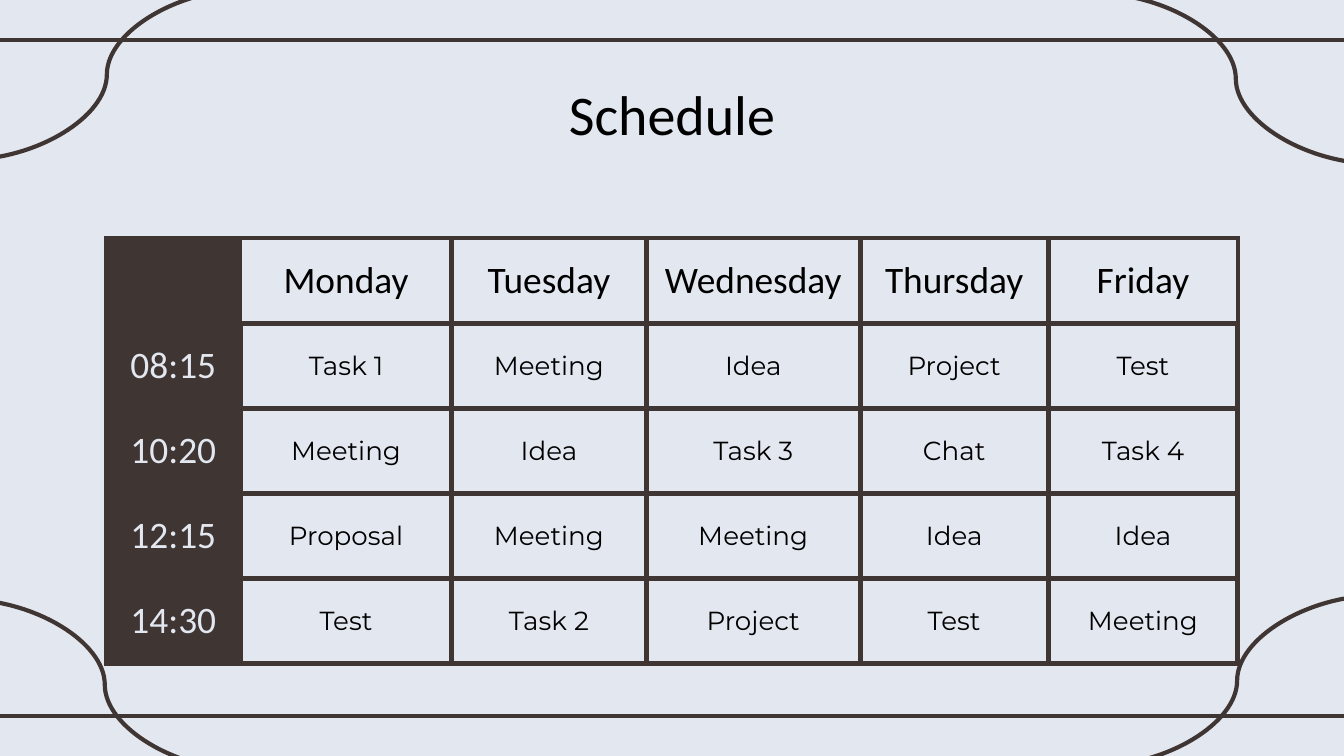
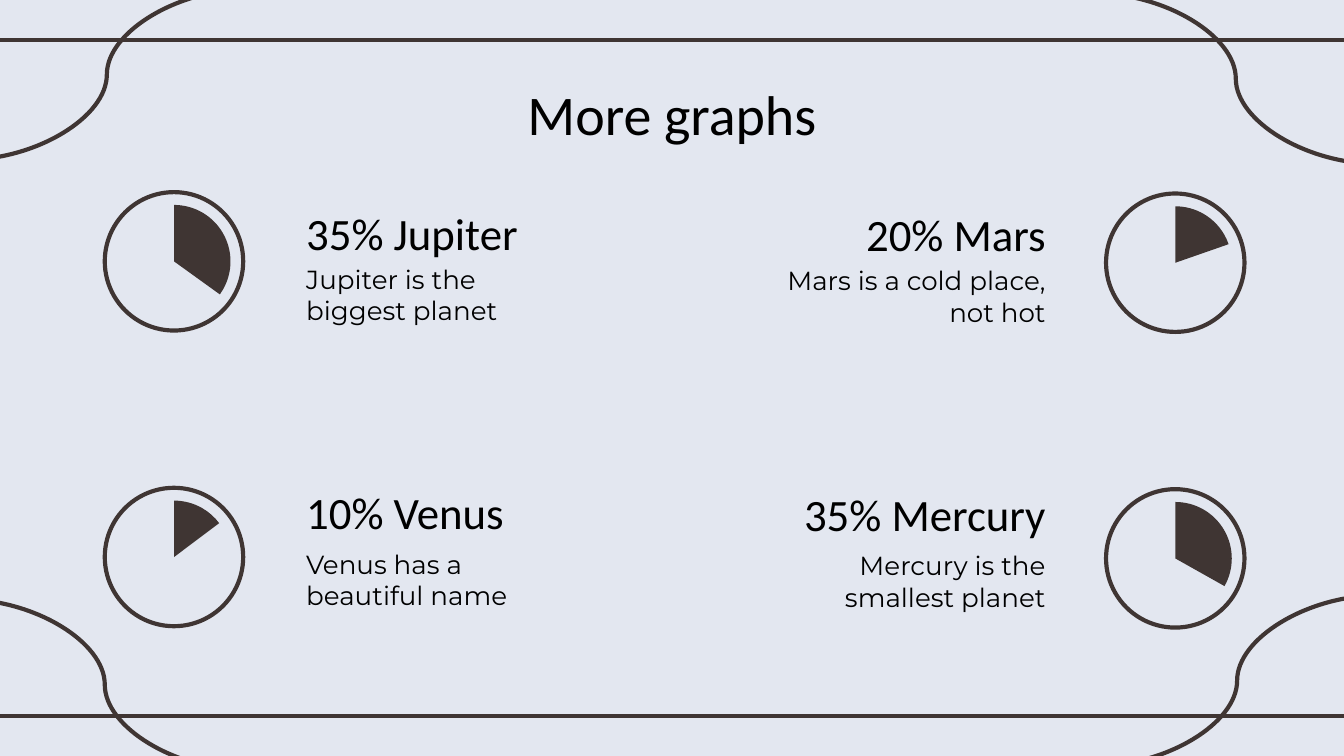
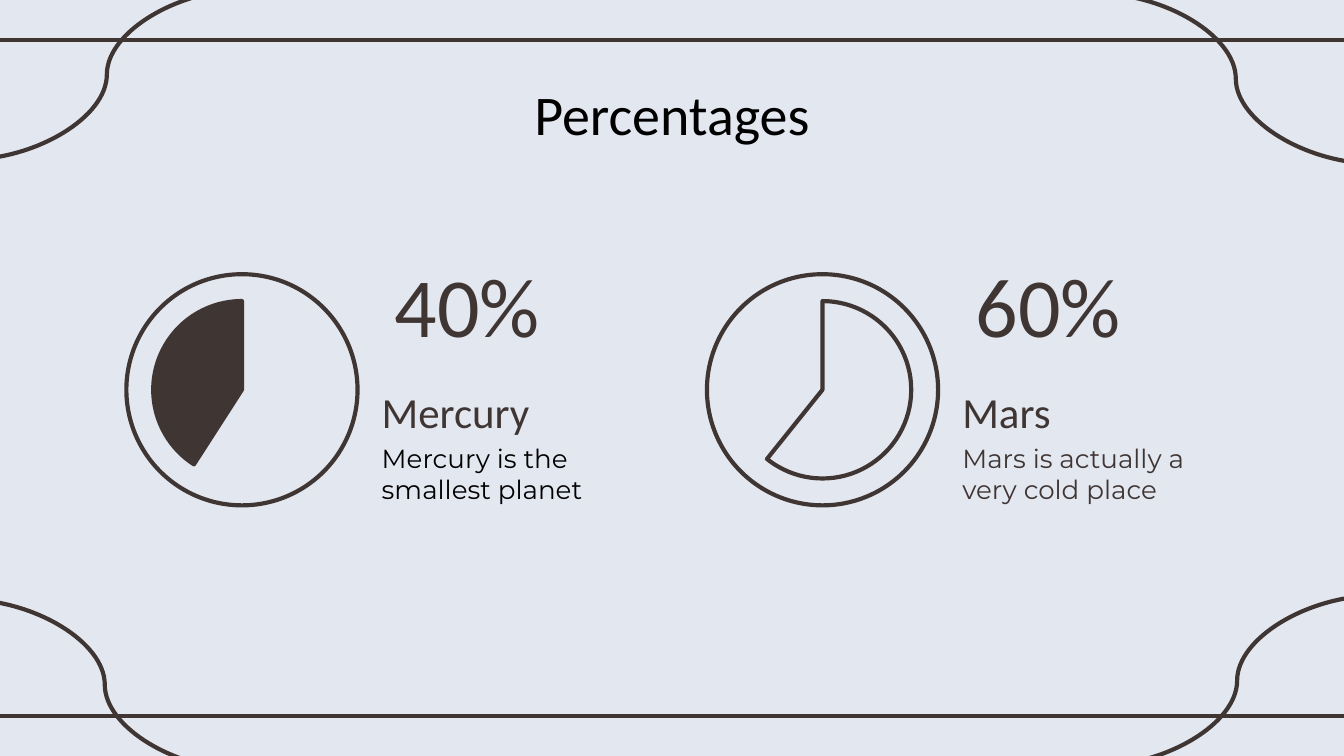
"""Build three planner slides: a schedule table and two sets of dials."""
from dataclasses import dataclass
from typing import Any

import lxml.etree
import pptx
import pptx.dml.color
import pptx.enum.shapes
import pptx.enum.text
import pptx.oxml.ns
import pptx.util

Inches = pptx.util.Inches
Pt = pptx.util.Pt
Align = pptx.enum.text.PP_ALIGN
Anchor = pptx.enum.text.MSO_ANCHOR
Shape = pptx.enum.shapes.MSO_SHAPE
Link = pptx.enum.shapes.MSO_CONNECTOR
qn = pptx.oxml.ns.qn


@dataclass(frozen=True)
class Theme:
    paper: str = "E3E7F0"
    dark: str = "3F3533"
    black: str = "000000"
    head: str = "Calibri"
    body: str = "Montserrat"
    title: float = 30
    huge: float = 45
    large: float = 24
    name: float = 23
    day: float = 20
    small: float = 14
    thin: float = 2.25
    thick: float = 3


@dataclass(frozen=True)
class Box:
    left: float
    top: float
    width: float
    height: float

    def place(self) -> tuple[int, int, int, int]:
        return (Inches(self.left), Inches(self.top),
                Inches(self.width), Inches(self.height))


@dataclass(frozen=True)
class Curve:
    kind: Any
    start: tuple[float, float]
    end: tuple[float, float]


@dataclass(frozen=True)
class Dial:
    left: float
    top: float
    size: float
    inner: float
    start: float
    end: float
    turn: float = 0
    solid: bool = True
    edge: bool = False


@dataclass(frozen=True)
class Planet:
    head: str
    note: str
    right: bool
    low: bool
    sweep: float


@dataclass(frozen=True)
class Share:
    value: str
    name: str
    note: str
    left: float
    start: float
    end: float
    solid: bool
    tint: str


LOOK = Theme()
FRAME = (
    Curve(Link.STRAIGHT, (-0.08, 0.3), (10.08, 0.3)),
    Curve(Link.STRAIGHT, (-0.08, 5.33), (10.08, 5.33)),
    Curve(Link.CURVE, (-0.27, 4.46), (1.83, 5.73)),
    Curve(Link.CURVE, (8.14, -0.05), (10.25, 1.22)),
    Curve(Link.CURVE, (10.26, 4.43), (8.15, 5.7)),
    Curve(Link.CURVE, (1.85, -0.08), (-0.26, 1.19)),
)
TALL = 3.17
WIDTHS = (1, 1.57, 1.45, 1.59, 1.4, 1.41)
ROWS = (
    ("", "Monday", "Tuesday", "Wednesday", "Thursday", "Friday"),
    ("08:15", "Task 1", "Meeting", "Idea", "Project", "Test"),
    ("10:20", "Meeting", "Idea", "Task 3", "Chat", "Task 4"),
    ("12:15", "Proposal", "Meeting", "Meeting", "Idea", "Idea"),
    ("14:30", "Test", "Task 2", "Project", "Test", "Meeting"),
)
PLANETS = (
    Planet("35% Jupiter", "Jupiter is the biggest planet", False, False, 125.77),
    Planet("10% Venus", "Venus has a beautiful name", False, True, 53.07),
    Planet("20% Mars", "Mars is a cold place, not hot", True, False, 70.77),
    Planet("35% Mercury", "Mercury is the smallest planet", True, True, 119.33),
)
SHARES = (
    Share("60%", "Mars", "Mars is actually a very cold place",
          5.26, 270, 128.73, False, LOOK.dark),
    Share("40%", "Mercury", "Mercury is the smallest planet",
          0.94, 122.75, 270, True, LOOK.black),
)


def shade(code: str) -> pptx.dml.color.RGBColor:
    return pptx.dml.color.RGBColor.from_string(code)


def write(frame: Any, text: str, *, size: float, font: str = LOOK.head,
          tint: str = LOOK.black, align: Any = Align.LEFT,
          anchor: Any = Anchor.TOP, pad: float = 0.1) -> None:
    frame.auto_size = pptx.enum.text.MSO_AUTO_SIZE.NONE
    frame.word_wrap = True
    frame.vertical_anchor = anchor
    frame.margin_left = frame.margin_top = Inches(pad)
    frame.margin_right = frame.margin_bottom = Inches(0.1)
    line = frame.paragraphs[0]
    line.alignment = align
    run = line.add_run()
    run.text = text
    run.font.size = Pt(size)
    run.font.name = font
    run.font.color.rgb = shade(tint)


def label(slide: Any, box: Box, text: str, **style: Any) -> None:
    write(slide.shapes.add_textbox(*box.place()).text_frame, text, **style)


def stroke(line: Any) -> None:
    line.color.rgb = shade(LOOK.dark)
    line.width = Pt(LOOK.thin)


def draw_frame(slide: Any, layout: Any) -> None:
    for curve in FRAME:
        ends = (Inches(v) for v in curve.start + curve.end)
        link = slide.shapes.add_connector(curve.kind, *ends)
        stroke(link.line)
        lxml.etree.SubElement(link.element.spPr, qn("a:effectLst"))
        layout.shapes.element.append(link.element)


def add_slide(deck: Any, layout: Any, title: str) -> Any:
    slide = deck.slides.add_slide(layout)
    head = slide.shapes.title
    head.left, head.top, head.width, head.height = Box(0.78, 0.49, 8.44, 0.63).place()
    write(head.text_frame, title, size=LOOK.title, align=Align.CENTER)
    return slide


def draw_dial(slide: Any, dial: Dial) -> None:
    group = slide.shapes.add_group_shape()
    gap = (dial.size - dial.inner) / 2
    ring = group.shapes.add_shape(
        Shape.OVAL, *Box(dial.left, dial.top, dial.size, dial.size).place())
    ring.shadow.inherit = False
    ring.fill.background()
    stroke(ring.line)
    wedge = group.shapes.add_shape(
        Shape.PIE, *Box(dial.left + gap, dial.top + gap, dial.inner, dial.inner).place())
    wedge.shadow.inherit = False
    wedge.rotation = dial.turn
    for i, angle in enumerate((dial.start, dial.end)):
        wedge.adjustments[i] = angle * 0.6
    if dial.solid:
        wedge.fill.solid()
        wedge.fill.fore_color.rgb = shade(LOOK.dark)
    else:
        wedge.fill.background()
    if dial.edge:
        stroke(wedge.line)
    else:
        wedge.line.fill.background()


def is_thin(row: int, col: int, side: str) -> bool:
    if col == 0 and side != "R":
        return True
    return row == 0 and (side == "T" or (col, side) in ((0, "R"), (1, "L"), (5, "R")))


def edge_cell(cell: Any, row: int, col: int) -> None:
    props = cell._tc.get_or_add_tcPr()
    for i, side in enumerate("LRTB"):
        width = LOOK.thin if is_thin(row, col, side) else LOOK.thick
        edge = lxml.etree.Element(qn(f"a:ln{side}"), w=str(Pt(width)))
        fill = lxml.etree.SubElement(edge, qn("a:solidFill"))
        lxml.etree.SubElement(fill, qn("a:srgbClr"), val=LOOK.dark)
        props.insert(i, edge)


def draw_table(slide: Any) -> None:
    box = Box(0.79, 1.77, sum(WIDTHS), TALL)
    table = slide.shapes.add_table(len(ROWS), len(WIDTHS), *box.place()).table
    table.first_row = table.horz_banding = False
    for col, width in enumerate(WIDTHS):
        table.columns[col].width = Inches(width)
    for r, row in enumerate(ROWS):
        table.rows[r].height = Inches(TALL / len(ROWS))
        for c, text in enumerate(row):
            cell = table.cell(r, c)
            if r == 0 and c > 0:
                cell.fill.background()
            else:
                cell.fill.solid()
                cell.fill.fore_color.rgb = shade(LOOK.paper if c else LOOK.dark)
            edge_cell(cell, r, c)
            cell.margin_left = cell.margin_right = Inches(0.1)
            cell.margin_top = cell.margin_bottom = Inches(0.1)
            cell.vertical_anchor = Anchor.MIDDLE
            if text:
                task = r > 0 and c > 0
                write(cell.text_frame, text,
                      size=LOOK.small if task else LOOK.day,
                      font=LOOK.body if task else LOOK.head,
                      tint=LOOK.black if c else LOOK.paper,
                      align=Align.CENTER, anchor=Anchor.MIDDLE)


def draw_planet(slide: Any, item: Planet) -> None:
    left = 5.75 if item.right else 2.18
    drop = 0.01 if item.right else 0
    align = Align.RIGHT if item.right else Align.LEFT
    label(slide, Box(left, (3.98 if item.low else 1.86) + drop, 2.13, 0.68),
          item.note, size=LOOK.small, font=LOOK.body, align=align)
    label(slide, Box(left, (3.51 if item.low else 1.43) + drop, 2.13, 0.54),
          item.head, size=LOOK.large, align=align)
    draw_dial(slide, Dial(8.23 if item.right else 0.78,
                          (3.63 if item.low else 1.43) + drop,
                          1.03, 0.84, 0, item.sweep, turn=270))


def draw_share(slide: Any, item: Share) -> None:
    left = item.left + 1.9
    label(slide, Box(left, 2.92, 1.92, 0.38), item.name, size=LOOK.name,
          tint=LOOK.dark, anchor=Anchor.MIDDLE, pad=0)
    label(slide, Box(left, 3.32, 1.92, 0.51), item.note, size=LOOK.small,
          font=LOOK.body, tint=item.tint, anchor=Anchor.MIDDLE, pad=0)
    draw_dial(slide, Dial(item.left, 2.04, 1.72, 1.32, item.start, item.end,
                          solid=item.solid, edge=True))
    label(slide, Box(left, 1.8, 1.58, 0.93), item.value, size=LOOK.huge,
          tint=LOOK.dark, anchor=Anchor.MIDDLE)


def main() -> None:
    deck = pptx.Presentation()
    deck.slide_width = Inches(10)
    deck.slide_height = deck.slide_width * 9 // 16
    layout = deck.slide_layouts[5]
    layout.background.fill.solid()
    layout.background.fill.fore_color.rgb = shade(LOOK.paper)

    plan = add_slide(deck, layout, "Schedule")
    draw_frame(plan, layout)
    draw_table(plan)

    graphs = add_slide(deck, layout, "More graphs")
    for planet in PLANETS:
        draw_planet(graphs, planet)

    shares = add_slide(deck, layout, "Percentages")
    for share in SHARES:
        draw_share(shares, share)

    deck.save("out.pptx")


if __name__ == "__main__":
    main()
